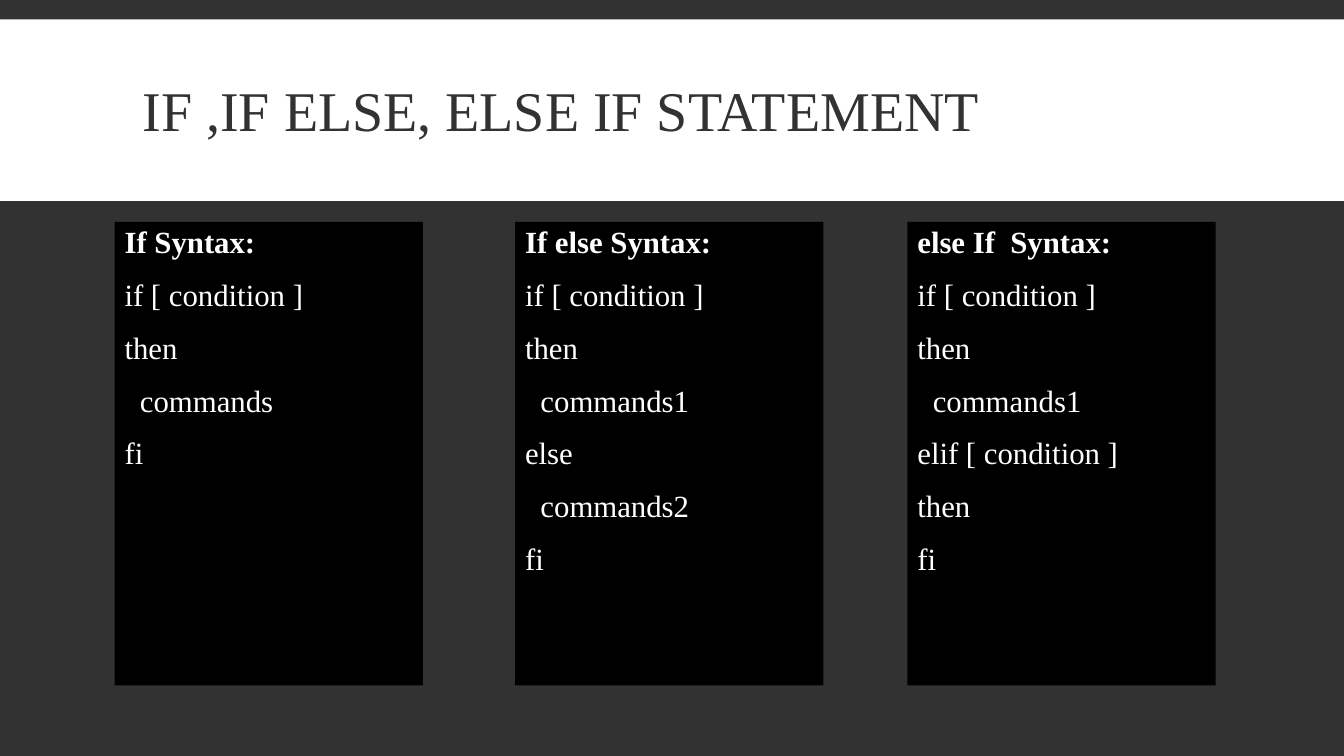
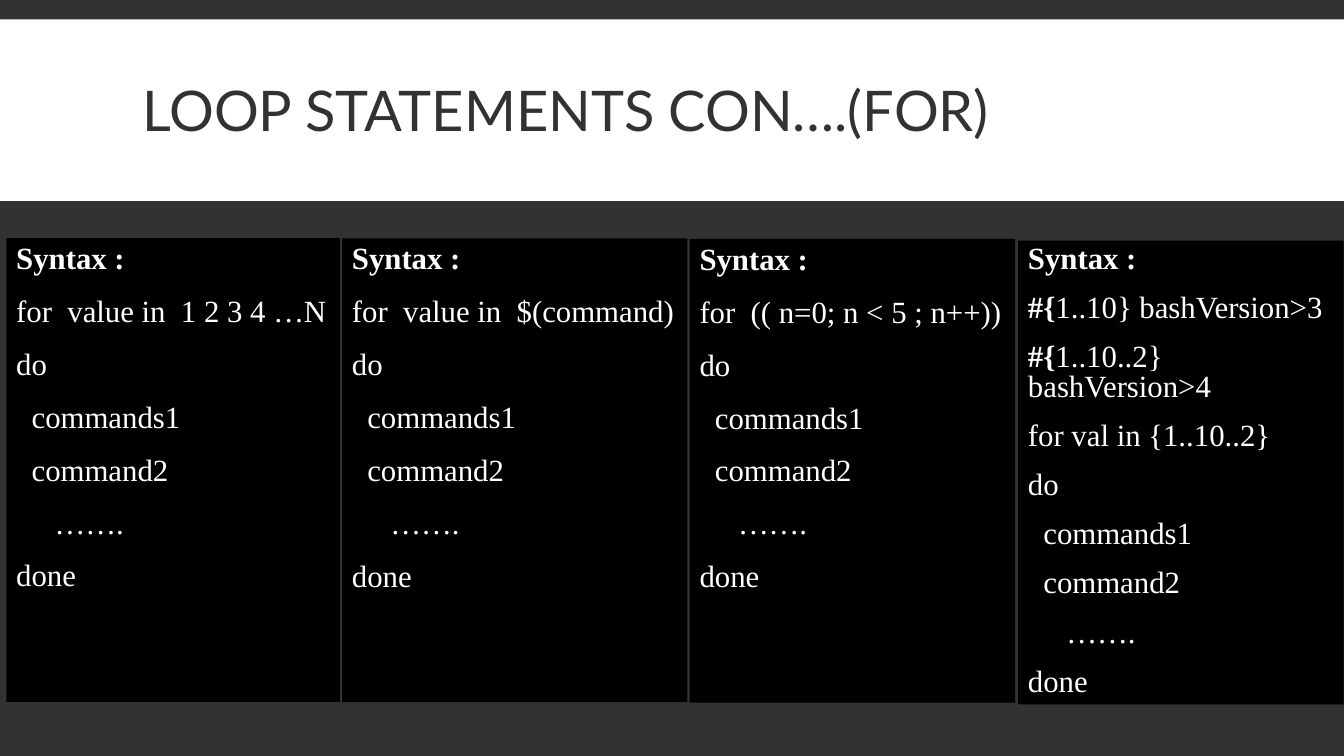
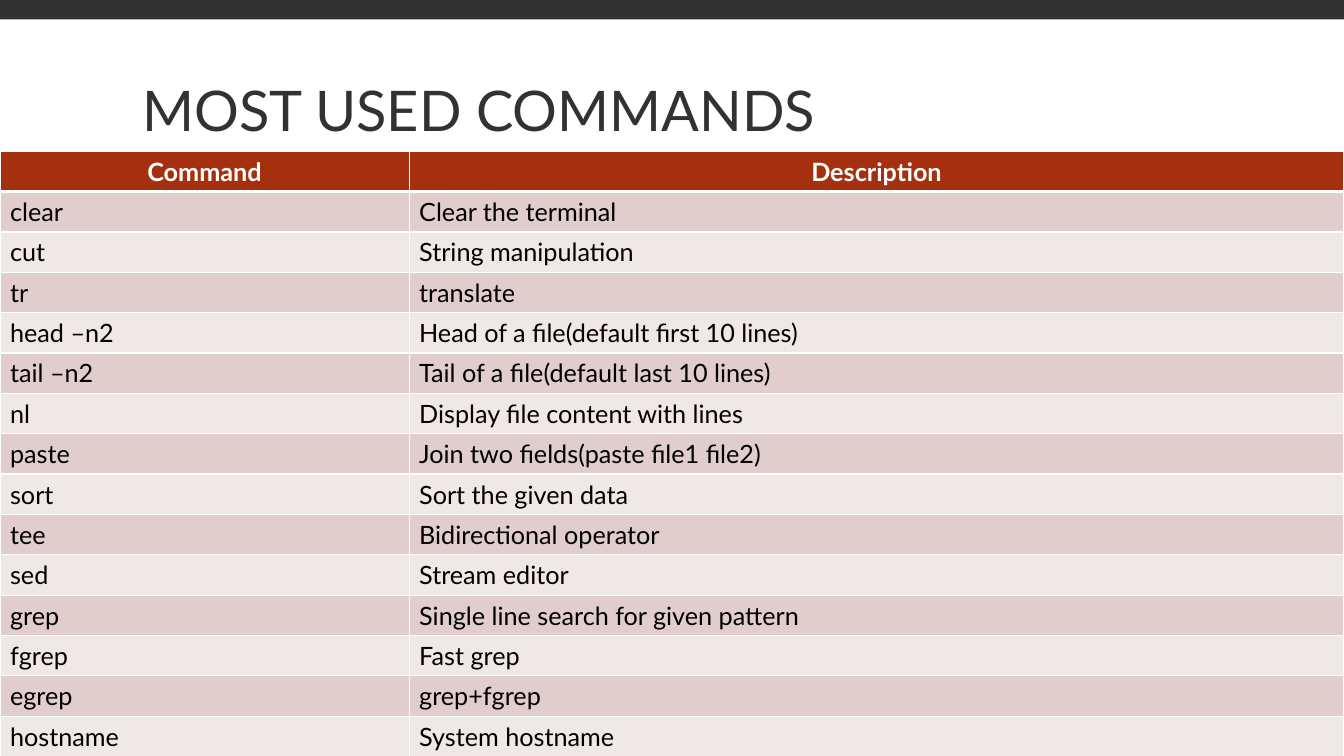
from lxml.etree import SubElement as Sub
from pptx import Presentation as Deck
from pptx.dml.color import RGBColor as Color
from pptx.enum.shapes import MSO_SHAPE as Shape
from pptx.enum.text import MSO_ANCHOR as Anchor, PP_ALIGN as Align
from pptx.oxml.ns import qn
from pptx.util import Inches, Pt

DARK = Color(0x32, 0x32, 0x32)
WHITE = Color(0xFF, 0xFF, 0xFF)
BLACK = Color(0, 0, 0)
RUST = Color(0xA5, 0x30, 0x0F)
ROSE = Color(0xE1, 0xCD, 0xCC)
PALE = Color(0xF0, 0xE8, 0xE7)
SERIF = "Times New Roman"
SANS = "Lato"
SPACE = Pt(5.5)


class Pen:
    def __init__(self):
        self.deck = Deck()
        self.deck.slide_width = Inches(13.33)
        self.deck.slide_height = Inches(7.5)
        self.plain = self.deck.slide_layouts[5]
        back = self.deck.slide_master.background.fill
        back.solid()
        back.fore_color.rgb = DARK
        self.slide = None

    def area(self, left, top, width, height):
        wide, high = self.deck.slide_width, self.deck.slide_height
        return [int(part * full / 100) for part, full in
                ((left, wide), (top, high), (width, wide), (height, high))]

    def style(self, run, face, size, color, bold=False):
        font = run.font
        font.name, font.size, font.bold = face, Pt(size), bold
        font.color.rgb = color

    def block(self, area, color):
        block = self.slide.shapes.add_shape(Shape.RECTANGLE, *self.area(*area))
        block.shadow.inherit = False
        block.fill.solid()
        block.fill.fore_color.rgb = color
        block.line.fill.background()
        return block

    def band(self):
        band = self.block((0, 2.57, 100, 24), WHITE)
        self.slide.shapes._spTree.insert(2, band._element)

    def page(self, text, face=SANS):
        self.slide = self.deck.slides.add_slide(self.plain)
        self.band()
        title = self.slide.shapes.title
        title.left, title.top, title.width, title.height = self.area(9.86, 4.13, 80.27, 22)
        frame = title.text_frame
        frame.text = text
        frame.vertical_anchor = Anchor.MIDDLE
        para = frame.paragraphs[0]
        para.alignment = Align.LEFT
        para.line_spacing = 0.85
        self.style(para.runs[0], face, 40, DARK)

    def panel(self, left, top, width, lines, pitch=0.9):
        frame = self.block((left, top, width, 61.33), BLACK).text_frame
        frame.word_wrap = True
        frame.vertical_anchor = Anchor.TOP
        for index, line in enumerate(lines):
            para = frame.add_paragraph() if index else frame.paragraphs[0]
            para.alignment = Align.LEFT
            para.line_spacing = pitch
            para.space_before, para.space_after = Pt(12), Pt(2)
            text = line.lstrip()
            inset = (len(line) - len(text)) * SPACE
            para._p.get_or_add_pPr().set("marL", str(inset))
            mark = "#{" if text.startswith("#{") else ""
            head = text if index == 0 else mark
            for part, bold in ((head, True), (text[len(head):], False)):
                if part:
                    run = para.add_run()
                    run.text = part
                    self.style(run, SERIF, 22, WHITE, bold)

    def edge(self, cell, head):
        props = cell._tc.get_or_add_tcPr()
        for spot, side in enumerate("LRTB"):
            width = Pt(3 if head and side == "B" else 1)
            line = props.makeelement(qn(f"a:ln{side}"), {"w": str(width)})
            fill = Sub(line, qn("a:solidFill"))
            Sub(fill, qn("a:srgbClr"), val=str(WHITE))
            props.insert(spot, line)

    def table(self, top, shares, rows):
        area = self.area(0, top, 100, 100 - top)
        table = self.slide.shapes.add_table(len(rows), len(shares), *area).table
        table.horz_banding = False
        for column, share in zip(table.columns, shares):
            column.width = self.area(0, 0, share, 0)[2]
        for index, row in enumerate(rows):
            head = index == 0
            for spot, text in enumerate(row):
                cell = table.cell(index, spot)
                cell.text = text
                cell.fill.solid()
                cell.fill.fore_color.rgb = RUST if head else (PALE, ROSE)[index % 2]
                self.edge(cell, head)
                para = cell.text_frame.paragraphs[0]
                para.alignment = Align.CENTER if head else Align.LEFT
                self.style(para.runs[0], SANS, 18, WHITE if head else BLACK, head)


pen = Pen()

pen.page("IF ,IF ELSE, ELSE IF STATEMENT", SERIF)
TEST = ["if [ condition ]", "then"]
BRANCH = [
    (8.53, ["If Syntax:", *TEST, "  commands", "fi"]),
    (38.33, ["If else Syntax:", *TEST, "  commands1", "else", "  commands2", "fi"]),
    (67.52, ["else If  Syntax:", *TEST, "  commands1", "elif [ condition ]", "then", "fi"]),
]
for left, lines in BRANCH:
    pen.panel(left, 29.35, 22.94, lines)

pen.page("LOOP STATEMENTS CON….(FOR)")
BODY = ["do", "  commands1", "  command2", "     …….", "done"]
LOOPS = [
    (0.47, 31.5, 24.83, 0.9, ["for  value in  1 2 3 4 …N"]),
    (25.45, 31.54, 25.7, 0.9, ["for  value in  $(command)"]),
    (51.31, 31.6, 24.23, 0.9, ["for  (( n=0; n < 5 ; n++))"]),
    (75.75, 31.83, 24.23, 0.8, ["#{1..10} bashVersion>3", "#{1..10..2} bashVersion>4",
                                "for val in {1..10..2}"]),
]
for left, top, width, pitch, heads in LOOPS:
    pen.panel(left, top, width, ["Syntax :", *heads, *BODY], pitch)

pen.page("MOST USED COMMANDS")
pen.table(20, (30.44, 69.56), [
    ("Command", "Description"),
    ("clear", "Clear the terminal"),
    ("cut", "String manipulation"),
    ("tr", "translate"),
    ("head –n2", "Head of a file(default first 10 lines)"),
    ("tail –n2", "Tail of a file(default last 10 lines)"),
    ("nl", "Display file content with lines"),
    ("paste", "Join two fields(paste file1 file2)"),
    ("sort", "Sort the given data"),
    ("tee", "Bidirectional operator"),
    ("sed", "Stream editor"),
    ("grep", "Single line search for given pattern"),
    ("fgrep", "Fast grep"),
    ("egrep", "grep+fgrep"),
    ("hostname", "System hostname"),
])

pen.deck.save("out.pptx")
